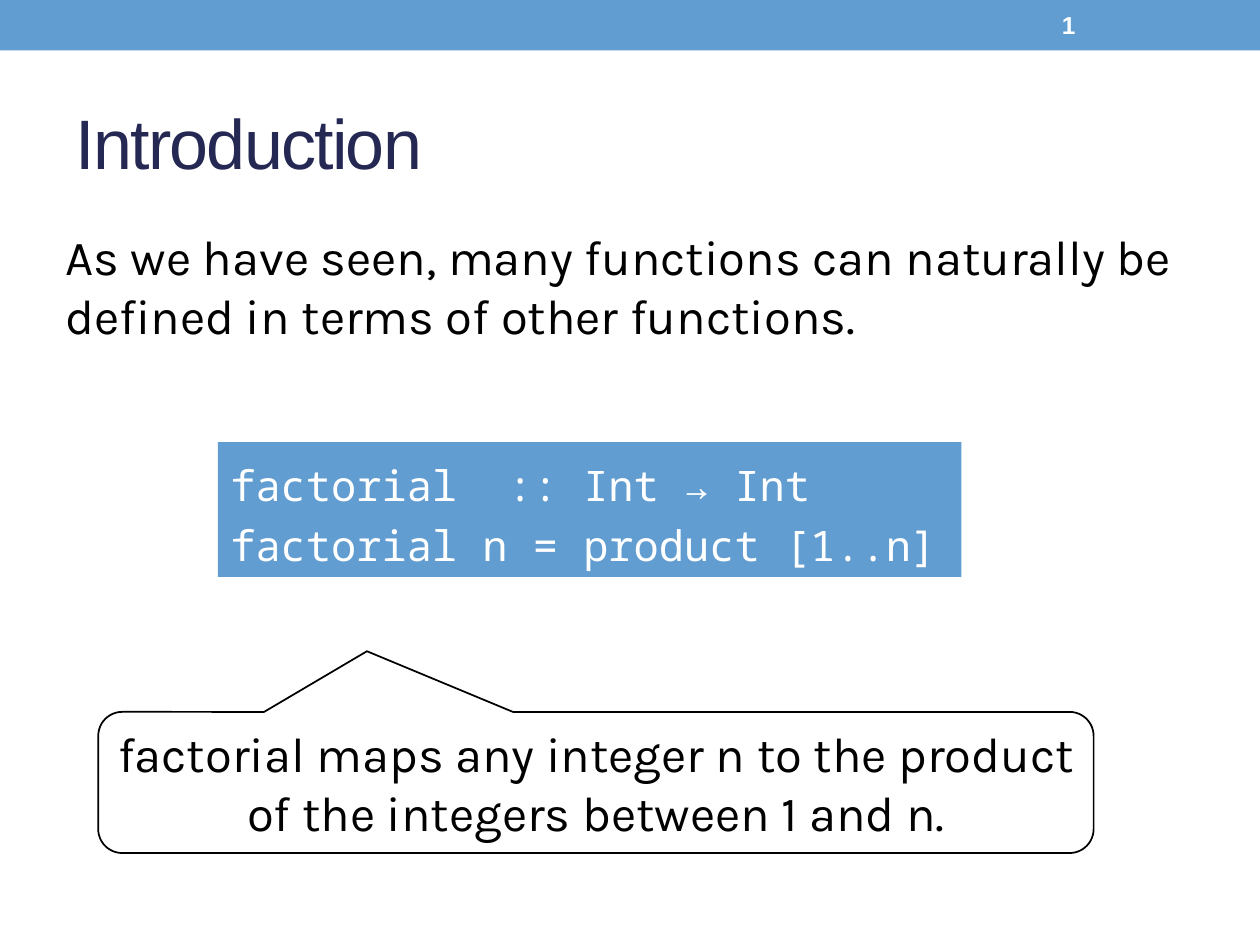
from dataclasses import dataclass

from pptx import Presentation
from pptx.dml.color import RGBColor
from pptx.enum.shapes import MSO_SHAPE
from pptx.enum.text import MSO_ANCHOR, PP_ALIGN
from pptx.shapes.autoshape import Shape
from pptx.slide import Slide
from pptx.util import Inches, Pt

BLUE = RGBColor(0x62, 0x9D, 0xD1)
NAVY = RGBColor(0x24, 0x28, 0x52)
BLACK = RGBColor(0, 0, 0)
WHITE = RGBColor(0xFF, 0xFF, 0xFF)


@dataclass(frozen=True)
class Box:
    left: float
    top: float
    width: float
    height: float

    def lengths(self) -> list[Inches]:
        return [Inches(v) for v in (self.left, self.top, self.width, self.height)]


@dataclass(frozen=True)
class Style:
    font: str
    size: int
    color: RGBColor
    bold: bool = False
    align: PP_ALIGN = PP_ALIGN.LEFT
    line_spacing: float = 1.0
    tracking: int = 0


TITLE = Style("Arial", 40, NAVY, tracking=-100)
NUMBER = Style("Arial", 14, WHITE, bold=True)
BODY = Style("Karla", 28, BLACK)
CODE = Style("Noto Sans Mono", 24, WHITE, line_spacing=1.2)
NOTE = Style("Karla", 28, BLACK, align=PP_ALIGN.CENTER)


def write(sp: Shape, lines: list[str], style: Style) -> None:
    tf = sp.text_frame
    tf.word_wrap = True
    tf.vertical_anchor = MSO_ANCHOR.MIDDLE
    for i, line in enumerate(lines):
        p = tf.add_paragraph() if i else tf.paragraphs[0]
        p.alignment = style.align
        p.line_spacing = style.line_spacing
        r = p.add_run()
        r.text = line
        r.font.name = style.font
        r.font.size = Pt(style.size)
        r.font.bold = style.bold
        r.font.color.rgb = style.color
        if style.tracking:
            r.font._element.set("spc", str(style.tracking))


def add_text(s: Slide, box: Box, text: str, style: Style) -> None:
    write(s.shapes.add_textbox(*box.lengths()), [text], style)


def add_panel(s: Slide, box: Box) -> Shape:
    sp = s.shapes.add_shape(MSO_SHAPE.RECTANGLE, *box.lengths())
    sp.shadow.inherit = False
    sp.fill.solid()
    sp.fill.fore_color.rgb = BLUE
    sp.line.fill.background()
    return sp


def add_callout(s: Slide, box: Box, text: str, adjustments: list[float]) -> None:
    sp = s.shapes.add_shape(MSO_SHAPE.ROUNDED_RECTANGULAR_CALLOUT, *box.lengths())
    sp.shadow.inherit = False
    sp.fill.background()
    sp.line.color.rgb = BLACK
    sp.line.width = Pt(1)
    for i, value in enumerate(adjustments):
        sp.adjustments[i] = value
    write(sp, [text], NOTE)


def main() -> None:
    prs = Presentation()
    prs.slide_width, prs.slide_height = Inches(10), Inches(7.5)
    s = prs.slides.add_slide(prs.slide_layouts[5])

    add_panel(s, Box(0, 0, 10, 0.4))
    title = s.shapes.title
    title.left, title.top, title.width, title.height = Box(0.5, 0.58, 9, 1.08).lengths()
    write(title, ["Introduction"], TITLE)
    add_text(s, Box(8.33, 0.02, 1.17, 0.36), "1", NUMBER)
    add_text(
        s,
        Box(0.42, 1.75, 9.15, 1.03),
        "As we have seen, many functions can naturally be defined in terms of other functions.",
        BODY,
    )
    code = add_panel(s, Box(1.73, 3.51, 5.9, 1.07))
    write(code, ["factorial  :: Int → Int", "factorial n = product [1..n]"], CODE)
    add_callout(
        s,
        Box(0.78, 5.65, 7.9, 1.12),
        "factorial maps any integer n to the product of the integers between 1 and n.",
        [-0.23, -0.93, 0.17],
    )
    prs.save("out.pptx")


if __name__ == "__main__":
    main()
